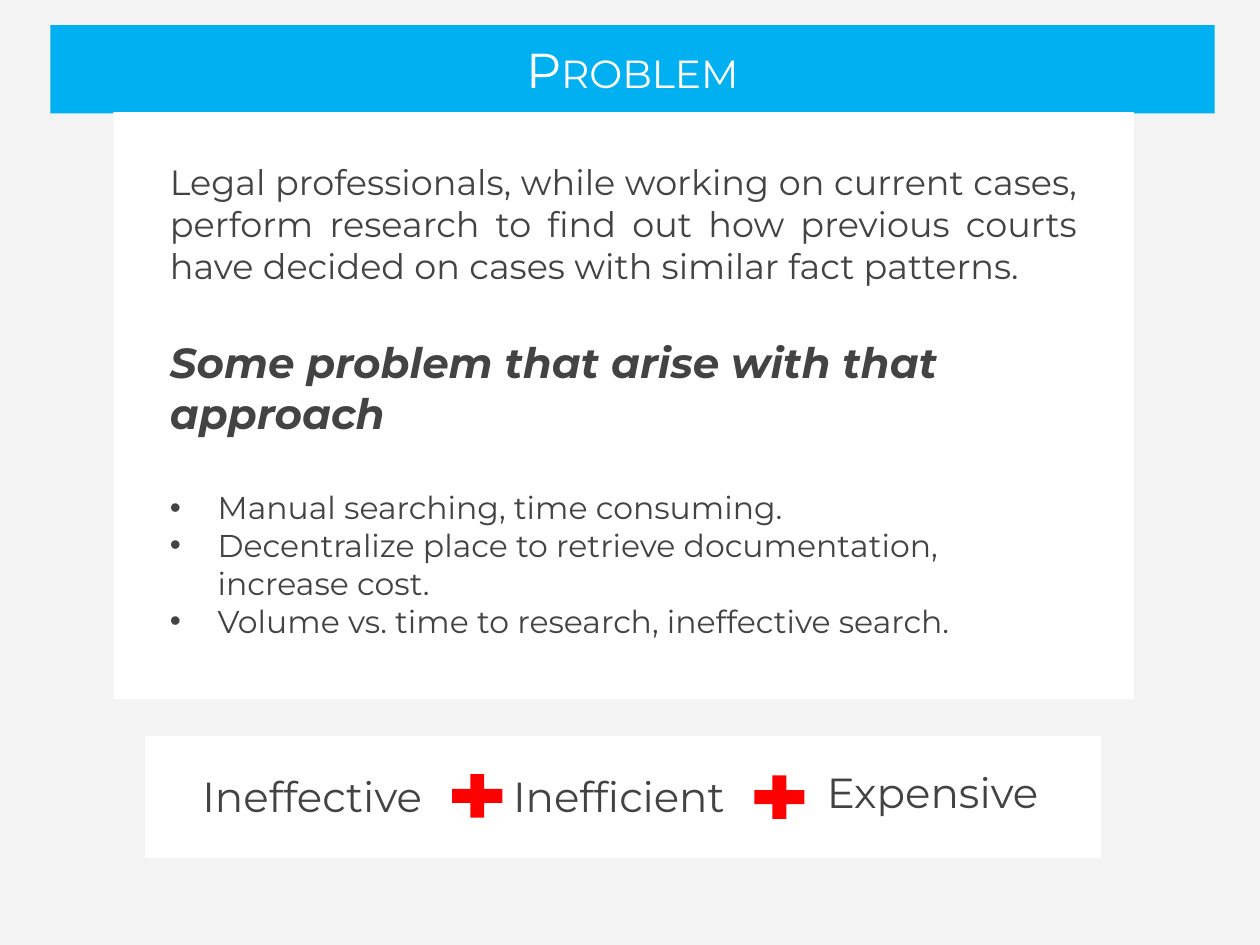
from lxml.etree import SubElement
from pptx import Presentation
from pptx.dml.color import RGBColor
from pptx.enum.shapes import MSO_SHAPE
from pptx.enum.text import MSO_ANCHOR, PP_ALIGN
from pptx.oxml.ns import qn
from pptx.util import Inches, Pt

FONT = "Montserrat"
COLORS = {"back": "F3F3F3", "banner": "00B0F0", "panel": "FFFFFF",
          "title": "FFFFFF", "text": "434343", "plus": "FF0000"}
INTRO = ("Legal professionals, while working on current cases, perform research "
         "to find out how previous courts have decided on cases with similar "
         "fact patterns.")
HEADING = "Some problem that arise with that approach"
PROBLEMS = ["Manual searching, time consuming.",
            "Decentralize place to retrieve documentation, increase cost.",
            "Volume vs. time to research, ineffective search."]
# Word, then left and top as shares of the summary box, width in inches
WORDS = [("Ineffective", 0.06, 0.28, 1.92),
         ("Inefficient", 0.385, 0.28, 1.83),
         ("Expensive", 0.713, 0.25, 1.82)]
PLUSES = [(0.312, 0.25), (0.628, 0.26)]
GAP = 29  # points, one line of heading text


def color(name):
    return RGBColor.from_string(COLORS[name])


def add_box(s, box, fill, kind=MSO_SHAPE.RECTANGLE):
    sp = s.shapes.add_shape(kind, *map(Inches, box))
    sp.shadow.inherit = False
    sp.fill.solid()
    sp.fill.fore_color.rgb = color(fill)
    sp.line.fill.background()
    return sp


def add_text(s, box, inset=0, wrap=True):
    tf = s.shapes.add_textbox(*map(Inches, box)).text_frame
    tf.word_wrap = wrap
    tf.margin_left = tf.margin_right = Inches(inset)
    tf.margin_top = tf.margin_bottom = Inches(inset)
    return tf


def add_run(p, text, size, fill="text", bold=False, italic=False):
    r = p.add_run()
    r.text = text
    f = r.font
    f.name, f.size, f.bold, f.italic = FONT, Pt(size), bold, italic
    f.color.rgb = color(fill)
    return r


def add_bullet(p, indent=0.38):
    pPr = p._p.get_or_add_pPr()
    pPr.set("marL", str(Inches(indent)))
    pPr.set("indent", str(-Inches(indent)))
    SubElement(pPr, qn("a:buFont"), typeface="Arial")
    SubElement(pPr, qn("a:buChar"), char="•")


def banner(s, box):
    tf = add_box(s, box, "banner").text_frame
    tf.vertical_anchor = MSO_ANCHOR.MIDDLE
    p = tf.paragraphs[0]
    p.alignment = PP_ALIGN.CENTER
    r = add_run(p, "Problem", 28, "title")
    r._r.get_or_add_rPr().set("cap", "small")


def problem_panel(s, box):
    x, y, w, h = box
    add_box(s, box, "panel")
    tf = add_text(s, (x + 0.35, y + 0.06 * h, w - 0.7, 0.9 * h), inset=0.1)
    p = tf.paragraphs[0]
    p.alignment = PP_ALIGN.JUSTIFY
    add_run(p, INTRO, 20)
    p = tf.add_paragraph()
    p.space_before = p.space_after = Pt(GAP)
    add_run(p, HEADING, 24, bold=True, italic=True)
    for text in PROBLEMS:
        p = tf.add_paragraph()
        add_bullet(p)
        add_run(p, text, 18)


def summary(s, box):
    x, y, w, h = box
    add_box(s, box, "panel")
    for word, left, top, width in WORDS:
        tf = add_text(s, (x + left * w, y + top * h, width, 0.4), wrap=False)
        tf.vertical_anchor = MSO_ANCHOR.MIDDLE
        add_run(tf.paragraphs[0], word, 24)
    for left, top in PLUSES:
        sp = add_box(s, (x + left * w, y + top * h, 0.54, 0.47), "plus",
                     MSO_SHAPE.MATH_PLUS)
        sp.adjustments[0] = 0.235


def main():
    prs = Presentation()
    prs.slide_width, prs.slide_height = Inches(10), Inches(7.5)
    s = prs.slides.add_slide(prs.slide_layouts[6])
    s.background.fill.solid()
    s.background.fill.fore_color.rgb = color("back")
    banner(s, (0.4, 0.2, 9.24, 0.7))
    problem_panel(s, (0.9, 0.89, 8.1, 4.66))
    summary(s, (1.15, 5.84, 7.59, 0.97))
    prs.save("out.pptx")


if __name__ == "__main__":
    main()
